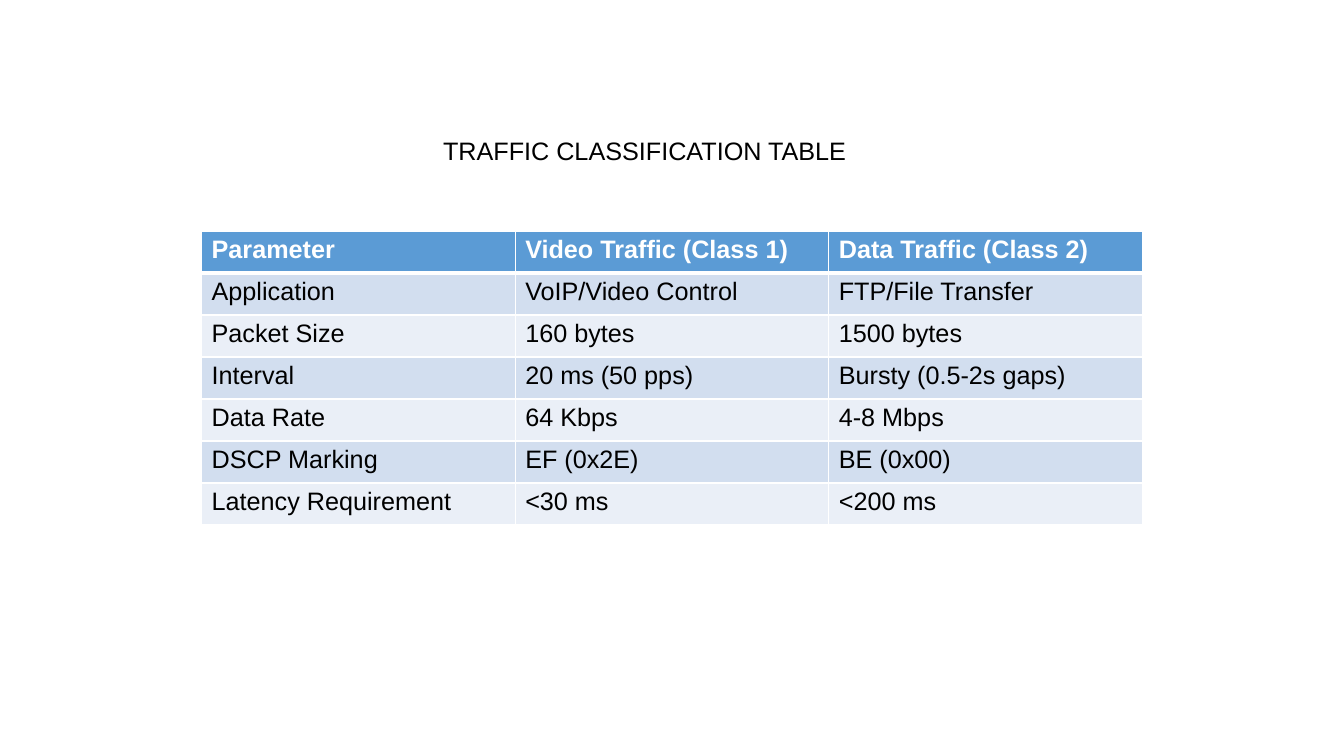
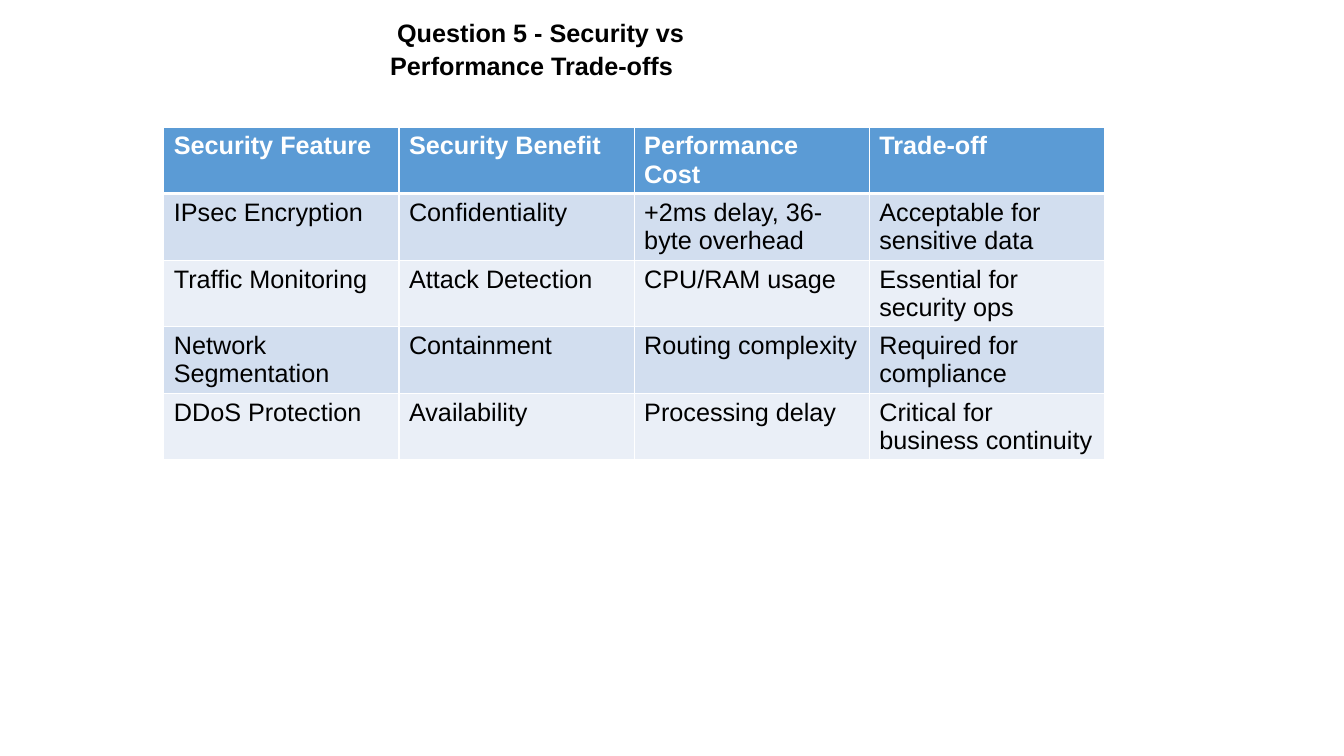
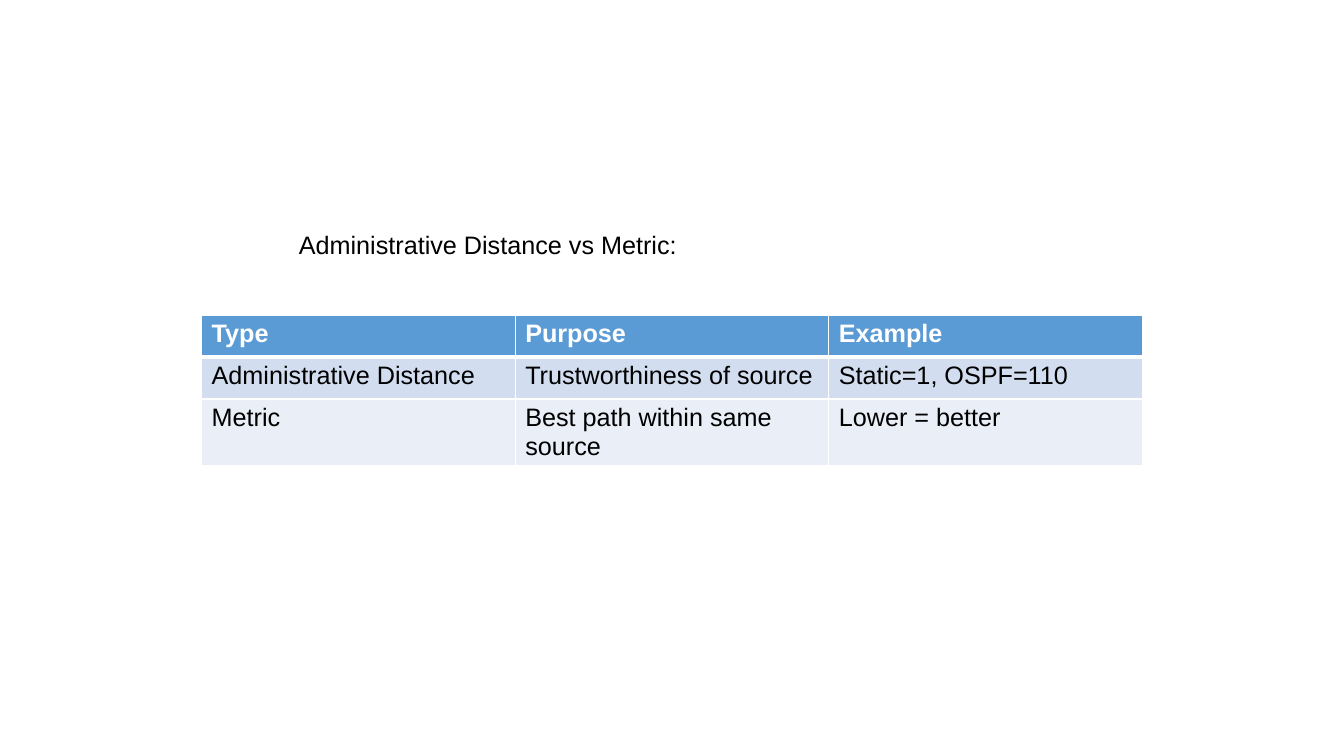
from lxml.etree import SubElement
from pptx import Presentation
from pptx.dml.color import RGBColor
from pptx.enum.text import MSO_ANCHOR as ANCHOR, MSO_AUTO_SIZE as AUTO, PP_ALIGN as ALIGN
from pptx.oxml.ns import qn
from pptx.util import Emu, Pt

COLORS = {
    "text": "000000",
    "white": "FFFFFF",
    "header": "5B9BD5",
    "odd": "D2DEEF",
    "even": "EAEFF7",
}
FONT = "Arial"
SIZE = 18
TABLE_W = 896
ROW_H = 40
TITLE_ONLY = 5

TRAFFIC = [
    ("Parameter", "Video Traffic (Class 1)", "Data Traffic (Class 2)"),
    ("Application", "VoIP/Video Control", "FTP/File Transfer"),
    ("Packet Size", "160 bytes", "1500 bytes"),
    ("Interval", "20 ms (50 pps)", "Bursty (0.5-2s gaps)"),
    ("Data Rate", "64 Kbps", "4-8 Mbps"),
    ("DSCP Marking", "EF (0x2E)", "BE (0x00)"),
    ("Latency Requirement", "<30 ms", "<200 ms"),
]
SECURITY = [
    ("Security Feature", "Security Benefit", "Performance Cost", "Trade-off"),
    ("IPsec Encryption", "Confidentiality", "+2ms delay, 36-byte overhead",
     "Acceptable for sensitive data"),
    ("Traffic Monitoring", "Attack Detection", "CPU/RAM usage", "Essential for security ops"),
    ("Network Segmentation", "Containment", "Routing complexity", "Required for compliance"),
    ("DDoS Protection", "Availability", "Processing delay", "Critical for business continuity"),
]
ROUTING = [
    ("Type", "Purpose", "Example"),
    ("Administrative Distance", "Trustworthiness of source", "Static=1, OSPF=110"),
    ("Metric", "Best path within same source", "Lower = better"),
]


def px(n):
    """Turn pixels into EMU."""
    return Emu(n * 9525)


def rgb(name):
    """Look up a palette colour."""
    return RGBColor.from_string(COLORS[name])


def format_runs(p, color, bold):
    """Apply the shared font to a paragraph."""
    for r in p.runs:
        r.font.name, r.font.size, r.font.bold = FONT, Pt(SIZE), bold
        r.font.color.rgb = rgb(color)


def add_title(s, text, box, bold=False, align=ALIGN.LEFT):
    """Place and format the slide title."""
    sp = s.shapes.title
    sp.left, sp.top, sp.width, sp.height = map(px, box)
    tf = sp.text_frame
    tf.text = text
    tf.word_wrap, tf.auto_size, tf.vertical_anchor = True, AUTO.NONE, ANCHOR.TOP
    p = tf.paragraphs[0]
    p.alignment, p.line_spacing = align, 1.07
    format_runs(p, "text", bold)


def set_borders(cell, top, bottom):
    """Draw white cell borders, with top and bottom widths in points."""
    tc_pr = cell._tc.get_or_add_tcPr()
    for side, width in (("L", 1), ("R", 1), ("T", top), ("B", bottom)):
        ln = SubElement(tc_pr, qn(f"a:ln{side}"), w=str(Pt(width)))
        fill = SubElement(ln, qn("a:solidFill"))
        SubElement(fill, qn("a:srgbClr"), val=COLORS["white"])


def format_cell(cell, text, row):
    """Fill one cell in the style of its row."""
    header = row == 0
    cell.text = text
    format_runs(cell.text_frame.paragraphs[0], "white" if header else "text", header)
    set_borders(cell, 3 if row == 1 else 1, 3 if header else 1)
    cell.fill.solid()
    cell.fill.fore_color.rgb = rgb("header" if header else "odd" if row % 2 else "even")


def add_grid(s, rows, left, top):
    """Add a banded table with equal columns and rows."""
    n = len(rows)
    table = s.shapes.add_table(
        n, len(rows[0]), px(left), px(top), px(TABLE_W), px(ROW_H * n)).table
    for i, row in enumerate(rows):
        for j, text in enumerate(row):
            format_cell(table.cell(i, j), text, i)


def main():
    """Build and save the deck."""
    prs = Presentation()
    prs.slide_width, prs.slide_height = px(1280), px(720)
    layout = prs.slide_layouts[TITLE_ONLY]

    s = prs.slides.add_slide(layout)
    add_title(s, "TRAFFIC CLASSIFICATION TABLE", (-16, 122, 1260, 38), align=ALIGN.CENTER)
    add_grid(s, TRAFFIC, 192, 220)

    s = prs.slides.add_slide(layout)
    add_title(s, " Question 5 - Security vs Performance Trade-offs", (362, 10, 415, 97), bold=True)
    add_grid(s, SECURITY, 156, 121)

    s = prs.slides.add_slide(layout)
    add_title(s, "Administrative Distance vs Metric:", (275, 212, 660, 38))
    add_grid(s, ROUTING, 192, 300)

    prs.save("out.pptx")


if __name__ == "__main__":
    main()
